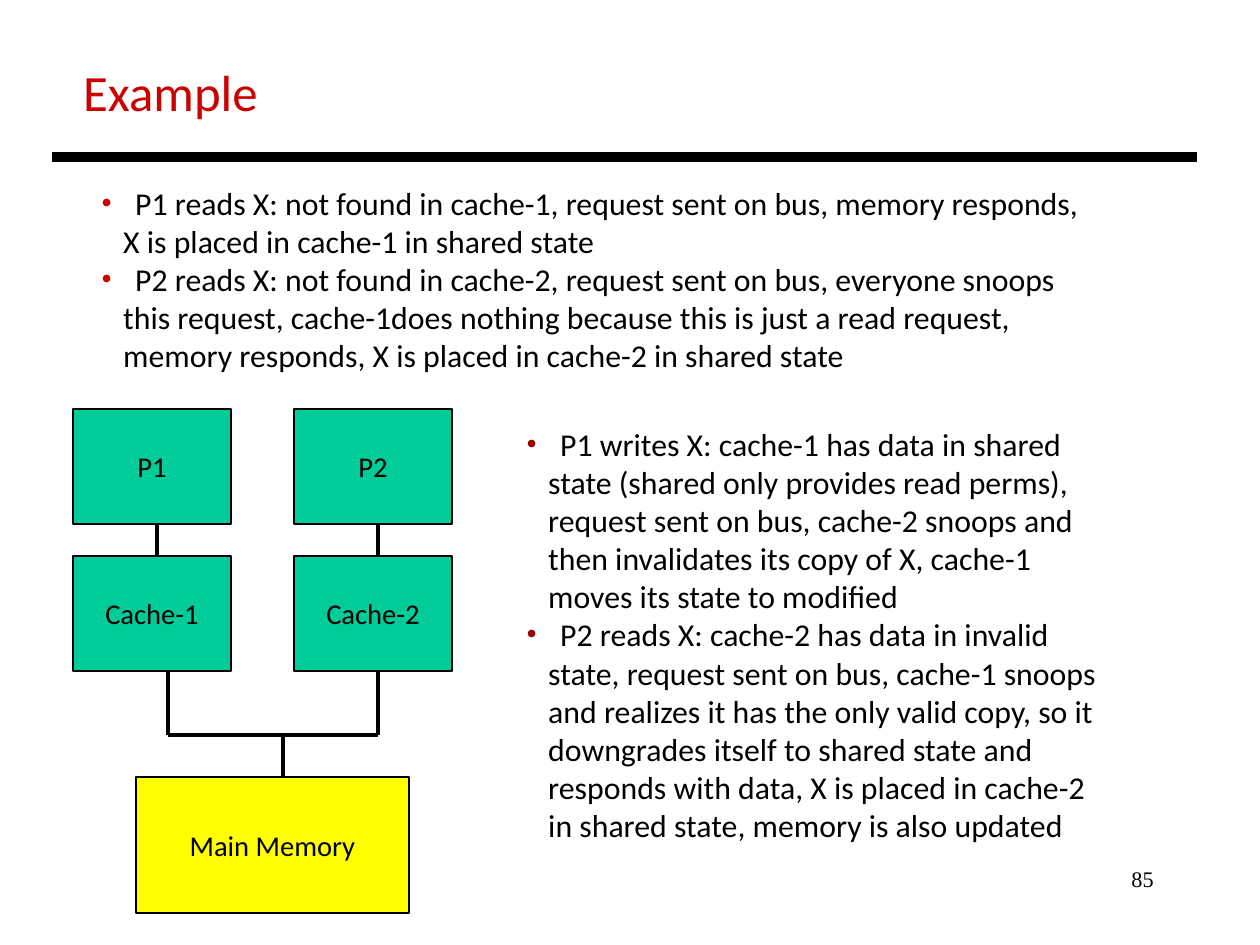
import pptx
import pptx.util
import pptx.dml.color
import pptx.enum.shapes
import pptx.enum.text
import pptx.oxml
import pptx.oxml.ns

PX = 8000  # EMU per px: 1260 x 945 px is 28 x 21 cm
ALIGN = pptx.enum.text.PP_ALIGN
ANCHOR = pptx.enum.text.MSO_ANCHOR

BLACK, RED, DARK_RED = "000000", "CC0000", "990000"
GREEN, YELLOW = "00CC99", "FFFF00"


def px(n):
    return pptx.util.Emu(n * PX)


def rgb(color):
    return pptx.dml.color.RGBColor.from_string(color)


class Deck:
    font = "Calibri"
    bullet_font = "Times New Roman"
    bullet_indent = 34
    line_indent = 22

    def __init__(self, width, height):
        self.prs = pptx.Presentation()
        self.prs.slide_width, self.prs.slide_height = px(width), px(height)
        self.s = self.prs.slides.add_slide(self.prs.slide_layouts[6])

    def run(self, p, text, size, color=BLACK, font=None):
        r = p.add_run()
        r.text = text
        r.font.size = pptx.util.Pt(size)
        r.font.name = font or self.font
        r.font.color.rgb = rgb(color)

    def frame(self, x, y, w, h):
        tf = self.s.shapes.add_textbox(px(x), px(y), px(w), px(h)).text_frame
        tf.word_wrap = True
        return tf

    def text(self, x, y, w, h, text, size, color=BLACK, align=ALIGN.LEFT, font=None):
        p = self.frame(x, y, w, h).paragraphs[0]
        p.alignment = align
        self.run(p, text, size, color, font)

    def indent(self, p, left, bullet_color=None):
        pPr = p._p.get_or_add_pPr()
        pPr.set("marL", str(px(left)))
        if bullet_color:
            pPr.set("indent", str(px(-left)))
            ns = pptx.oxml.ns.nsdecls("a")
            for xml in (
                f'<a:buClr {ns}><a:srgbClr val="{bullet_color}"/></a:buClr>',
                f'<a:buFont {ns} typeface="{self.bullet_font}"/>',
                f'<a:buChar {ns} char="•"/>',
            ):
                pPr.append(pptx.oxml.parse_xml(xml))

    def bullets(self, x, y, w, h, items, bullet_color):
        """Each item is a list of lines; the first line carries the bullet."""
        tf = self.frame(x, y, w, h)
        p = None
        for lines in items:
            for i, line in enumerate(lines):
                p = tf.paragraphs[0] if p is None else tf.add_paragraph()
                if i == 0:
                    self.indent(p, self.bullet_indent, bullet_color)
                else:
                    self.indent(p, self.line_indent)
                self.run(p, line, 20)

    def box(self, x, y, w, h, label, fill):
        sp = self.s.shapes.add_shape(
            pptx.enum.shapes.MSO_SHAPE.RECTANGLE, px(x), px(y), px(w), px(h))
        sp.shadow.inherit = False
        sp.fill.solid()
        sp.fill.fore_color.rgb = rgb(fill)
        sp.line.color.rgb = rgb(BLACK)
        sp.line.width = pptx.util.Pt(0.75)
        tf = sp.text_frame
        tf.vertical_anchor = ANCHOR.MIDDLE
        p = tf.paragraphs[0]
        p.alignment = ALIGN.CENTER
        self.run(p, label, 18)

    def line(self, x1, y1, x2, y2, width):
        sp = self.s.shapes.add_connector(
            pptx.enum.shapes.MSO_CONNECTOR.STRAIGHT, px(x1), px(y1), px(x2), px(y2))
        sp.line.color.rgb = rgb(BLACK)
        sp.line.width = pptx.util.Pt(width)
        sp._element.spPr.append(pptx.oxml.parse_xml(
            f'<a:effectLst {pptx.oxml.ns.nsdecls("a")}/>'))


def main():
    d = Deck(1260, 945)

    # Page number, title and rule
    d.text(902, 860, 263, 63, "85", 14, align=ALIGN.RIGHT, font="Times New Roman")
    d.text(72, 55, 206, 72, "Example", 32, RED)
    d.line(52, 157, 1197, 157, 6)

    # Read steps
    d.bullets(90, 178, 1010, 202, [
        ["P1 reads X: not found in cache-1, request sent on bus, memory responds,",
         "X is placed in cache-1 in shared state"],
        ["P2 reads X: not found in cache-2, request sent on bus, everyone snoops",
         "this request, cache-1does nothing because this is just a read request,",
         "memory responds, X is placed in cache-2 in shared state"],
    ], RED)

    # Processors with their caches, each wired down to the bus
    box_w, box_h = 158, 115
    cpu_y, cache_y, bus_y, memory_y = 409, 556, 735, 777
    bus_left, bus_right, memory_link = 168, 378, 283
    for n, x, link_x, drop_x in ((1, 73, 157, bus_left), (2, 294, 378, bus_right)):
        d.box(x, cpu_y, box_w, box_h, f"P{n}", GREEN)
        d.box(x, cache_y, box_w, box_h, f"Cache-{n}", GREEN)
        d.line(link_x, cpu_y + box_h, link_x, cache_y, 2.25)
        d.line(drop_x, cache_y + box_h, drop_x, bus_y, 3)

    # Bus and main memory
    d.line(bus_left, bus_y, bus_right, bus_y, 3)
    d.box(136, memory_y, 273, 136, "Main Memory", YELLOW)
    d.line(memory_link, bus_y, memory_link, memory_y, 3)

    # Write and re-read steps
    d.bullets(515, 419, 600, 431, [
        ["P1 writes X: cache-1 has data in shared",
         "state (shared only provides read perms),",
         "request sent on bus, cache-2 snoops and",
         "then invalidates its copy of X, cache-1",
         "moves its state to modified"],
        ["P2 reads X: cache-2 has data in invalid",
         "state, request sent on bus, cache-1 snoops",
         "and realizes it has the only valid copy, so it",
         "downgrades itself to shared state and",
         "responds with data, X is placed in cache-2",
         "in shared state, memory is also updated"],
    ], DARK_RED)

    d.prs.save("out.pptx")


if __name__ == "__main__":
    main()
